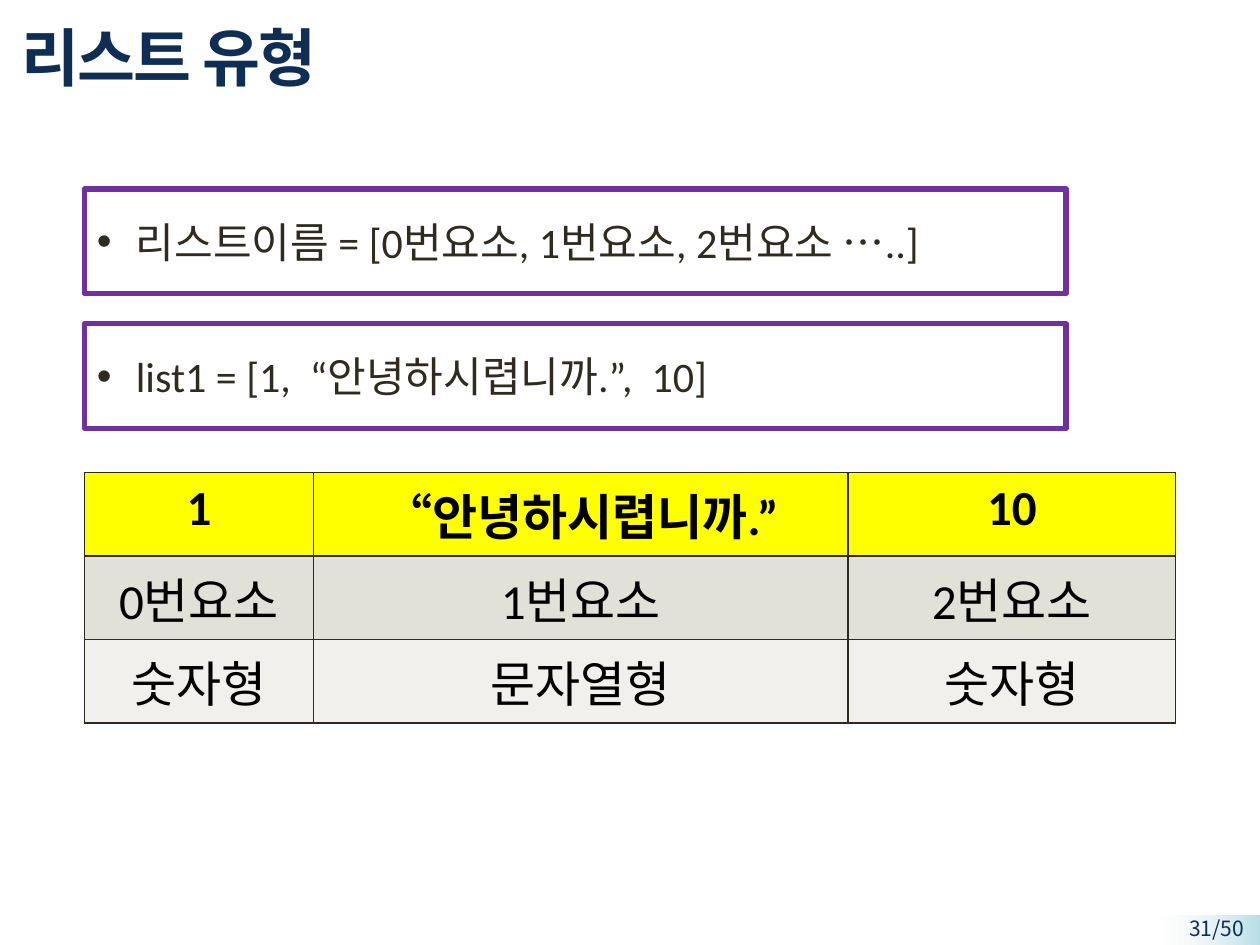
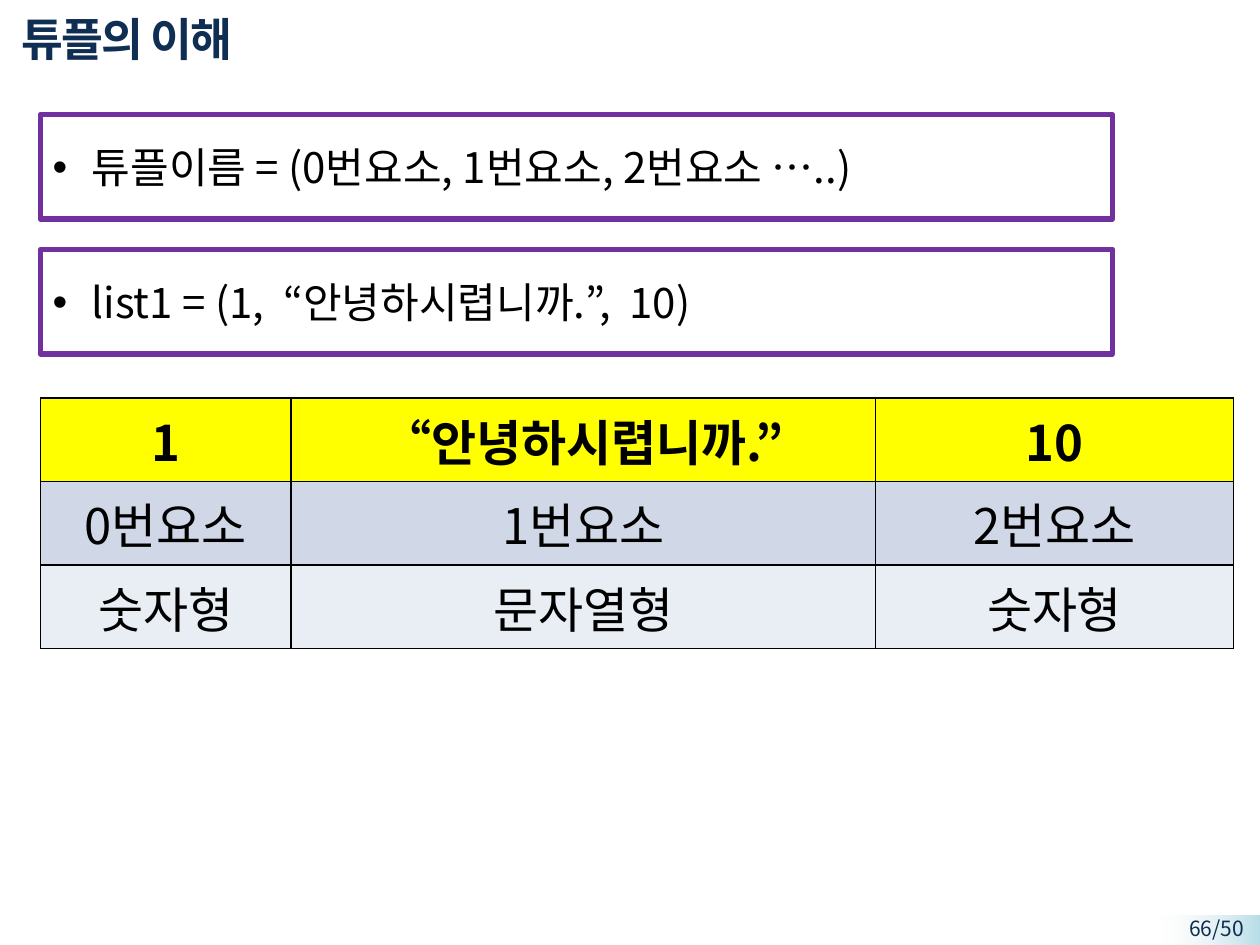
from dataclasses import dataclass
from typing import NamedTuple

from lxml.etree import SubElement
from pptx import Presentation
from pptx.dml.color import RGBColor
from pptx.enum.shapes import MSO_SHAPE as Preset
from pptx.enum.text import MSO_ANCHOR as Anchor, PP_ALIGN as Align
from pptx.oxml.ns import qn
from pptx.util import Inches, Pt

SLIDE_WIDTH, SLIDE_HEIGHT = Inches(10), Inches(7.5)
GRID_COLUMNS, GRID_ROWS = 100, 75

NAVY = RGBColor(0x0F, 0x2E, 0x53)
PURPLE = RGBColor(0x70, 0x30, 0xA0)
YELLOW = RGBColor(0xFF, 0xFF, 0x00)
BLACK = RGBColor(0x00, 0x00, 0x00)
BROWN = RGBColor(0x2F, 0x2B, 0x20)
SAND = RGBColor(0xE2, 0xE1, 0xD7)
PALE_SAND = RGBColor(0xF1, 0xF0, 0xEC)
BLUE_GREY = RGBColor(0xD0, 0xD8, 0xE8)
PALE_BLUE_GREY = RGBColor(0xE9, 0xED, 0xF4)
AQUA = RGBColor(0xB7, 0xDE, 0xE8)
LIGHT_GREY = RGBColor(0xF2, 0xF2, 0xF2)

KOREAN_FONT = "Noto Sans CJK KR"
LATIN_FONT = "Calibri"

FORMULA_HEIGHT, FORMULA_PITCH = 8.3, 10.7
TABLE_OFFSET, TABLE_ROW_HEIGHT = 22.5, 6.63
COLUMN_SHARES = (0.21, 0.49, 0.3)
ELEMENT_ROWS = (
    ("1", "“안녕하시렵니까.”", "10"),
    ("0번요소", "1번요소", "2번요소"),
    ("숫자형", "문자열형", "숫자형"),
)


class Area(NamedTuple):
    """A rectangle in grid columns and rows."""
    left: float
    top: float
    width: float
    height: float

    def lengths(self) -> tuple[int, int, int, int]:
        return across(self.left), down(self.top), across(self.width), down(self.height)


class TextStyle(NamedTuple):
    size: float
    color: RGBColor
    font: str = KOREAN_FONT
    bold: bool = False


@dataclass(frozen=True)
class Topic:
    title: str
    title_size: float
    title_height: float
    page: str
    formulas: tuple[str, str]
    left: float
    top: float
    formula_width: float
    table_width: float
    font: str
    ink: RGBColor
    row_fills: tuple[RGBColor, RGBColor, RGBColor]
    border: RGBColor


TOPICS = (
    Topic("리스트 유형", 36, 8.1, "31/50",
          ("리스트이름 = [0번요소, 1번요소, 2번요소 …..]",
           "list1 = [1,  “안녕하시렵니까.”,  10]"),
          6.7, 15, 77.9, 86.6, LATIN_FONT, BROWN, (YELLOW, SAND, PALE_SAND), BROWN),
    Topic("튜플의 이해", 26, 5.2, "66/50",
          ("튜플이름 = (0번요소, 1번요소, 2번요소 …..)",
           "list1 = (1,  “안녕하시렵니까.”,  10)"),
          3.2, 9.1, 85.1, 94.7, KOREAN_FONT, BLACK,
          (YELLOW, BLUE_GREY, PALE_BLUE_GREY), BLACK),
)


def across(columns: float) -> int:
    return round(SLIDE_WIDTH * columns / GRID_COLUMNS)


def down(rows: float) -> int:
    return round(SLIDE_HEIGHT * rows / GRID_ROWS)


def add_span(para, text: str, style: TextStyle):
    span = para.add_run()
    span.text = text
    font = span.font
    font.size, font.bold, font.name = Pt(style.size), style.bold, style.font
    font.color.rgb = style.color
    SubElement(span._r.get_or_add_rPr(), qn("a:ea"), typeface=KOREAN_FONT)
    return span


def add_rectangle(slide, area: Area):
    box = slide.shapes.add_shape(Preset.RECTANGLE, *area.lengths())
    box.shadow.inherit = False
    return box


def add_page_mark(slide, page: str) -> None:
    """Draw the fading corner band and the page number over it."""
    band = add_rectangle(slide, Area(92, 72.7, 8, 2.4))
    band.line.fill.background()
    band.fill.gradient()
    band.fill.gradient_angle = 180
    for stop, color, position in zip(band.fill.gradient_stops, (AQUA, LIGHT_GREY), (0, 1)):
        stop.color.rgb, stop.position = color, position
    faded = band._element.xpath(".//a:gs/a:srgbClr")[-1]
    SubElement(faded, qn("a:alpha"), val="0")

    box = slide.shapes.add_textbox(*Area(90.5, 72.2, 9.2, 2.3).lengths())
    box.text_frame.word_wrap = True
    para = box.text_frame.paragraphs[0]
    para.alignment = Align.RIGHT
    add_span(para, page, TextStyle(12, NAVY))


def set_title(slide, topic: Topic) -> None:
    title = slide.shapes.title
    title.left, title.top, title.width, title.height = Area(
        0.7, 0.4, 85.1, topic.title_height).lengths()
    title.text_frame.vertical_anchor = Anchor.MIDDLE
    para = title.text_frame.paragraphs[0]
    para.alignment = Align.LEFT
    span = add_span(para, topic.title, TextStyle(topic.title_size, NAVY, bold=True))
    span._r.get_or_add_rPr().set("spc", "-100")


def add_formula(slide, area: Area, text: str, style: TextStyle) -> None:
    box = add_rectangle(slide, area)
    box.fill.background()
    box.line.color.rgb, box.line.width = PURPLE, Pt(3)
    frame = box.text_frame
    frame.word_wrap = True
    frame.vertical_anchor = Anchor.MIDDLE
    para = frame.paragraphs[0]
    para.alignment = Align.LEFT
    indent = Inches(0.31)
    properties = para._p.get_or_add_pPr()
    properties.set("marL", str(indent))
    properties.set("indent", str(-indent))
    SubElement(properties, qn("a:buFont"), typeface="Arial")
    SubElement(properties, qn("a:buChar"), char="•")
    add_span(para, text, style)


def add_borders(cell, color: RGBColor) -> None:
    for side in ("lnL", "lnR", "lnT", "lnB"):
        line = SubElement(cell._tc.get_or_add_tcPr(), qn(f"a:{side}"), w=str(Pt(1)))
        SubElement(SubElement(line, qn("a:solidFill")), qn("a:srgbClr"), val=str(color))


def add_element_table(slide, topic: Topic) -> None:
    area = Area(topic.left, topic.top + TABLE_OFFSET, topic.table_width,
                TABLE_ROW_HEIGHT * len(ELEMENT_ROWS))
    table = slide.shapes.add_table(
        len(ELEMENT_ROWS), len(COLUMN_SHARES), *area.lengths()).table
    table.horz_banding = False
    for column, share in zip(table.columns, COLUMN_SHARES):
        column.width = across(topic.table_width * share)
    for row_index, (row, texts, fill) in enumerate(
            zip(table.rows, ELEMENT_ROWS, topic.row_fills)):
        style = TextStyle(28, BLACK, topic.font, bold=row_index == 0)
        for cell, text in zip(row.cells, texts):
            add_borders(cell, topic.border)
            cell.fill.solid()
            cell.fill.fore_color.rgb = fill
            para = cell.text_frame.paragraphs[0]
            para.alignment = Align.CENTER
            add_span(para, text, style)


def add_topic_slide(deck, topic: Topic) -> None:
    slide = deck.slides.add_slide(deck.slide_layouts.get_by_name("Title Only"))
    add_page_mark(slide, topic.page)
    set_title(slide, topic)
    for index, formula in enumerate(topic.formulas):
        area = Area(topic.left, topic.top + index * FORMULA_PITCH,
                    topic.formula_width, FORMULA_HEIGHT)
        add_formula(slide, area, formula, TextStyle(24, topic.ink, topic.font))
    add_element_table(slide, topic)


def main() -> None:
    deck = Presentation()
    deck.slide_width, deck.slide_height = SLIDE_WIDTH, SLIDE_HEIGHT
    for topic in TOPICS:
        add_topic_slide(deck, topic)
    deck.save("out.pptx")


if __name__ == "__main__":
    main()
